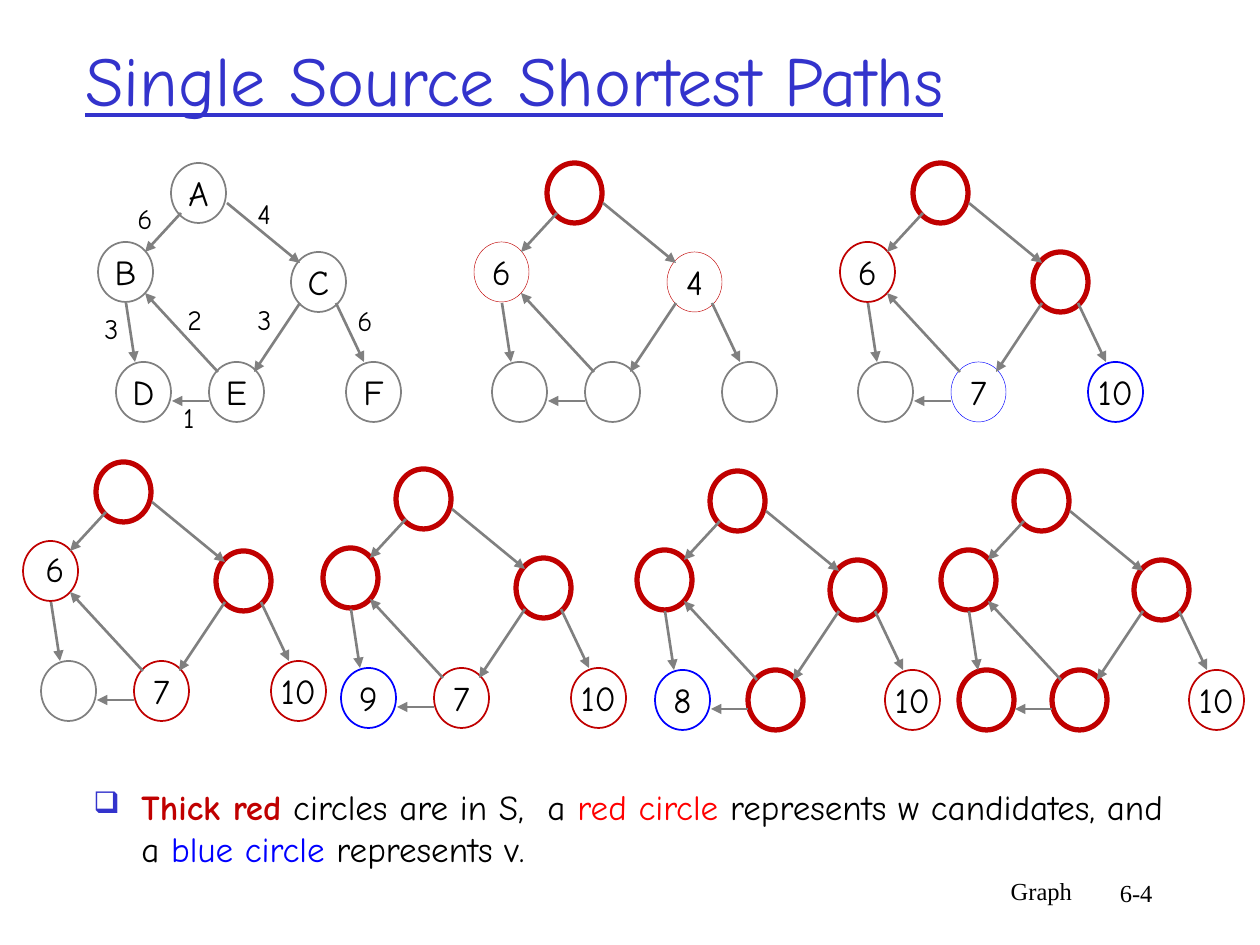
from dataclasses import dataclass
from typing import NamedTuple

from lxml import etree
from pptx import Presentation
from pptx.dml.color import RGBColor
from pptx.enum import shapes, text
from pptx.oxml import ns
from pptx import util as u

EMU_PER_PX = 914400 / 126

BLACK = RGBColor(0x00, 0x00, 0x00)
GRAY = RGBColor(0x80, 0x80, 0x80)
DARK_RED = RGBColor(0xC0, 0x00, 0x00)
RED = RGBColor(0xFF, 0x00, 0x00)
BLUE = RGBColor(0x00, 0x00, 0xFF)
INDIGO = RGBColor(0x33, 0x33, 0xCC)

COMIC = "Comic Neue"
SERIF = "Times New Roman"


class Ring(NamedTuple):
    color: RGBColor
    width: float


class Node(NamedTuple):
    ring: Ring
    label: str = ""


class Label(NamedTuple):
    text: str
    left: int
    top: int
    size: int = 16


@dataclass(frozen=True)
class Graph:
    left: int
    top: int
    nodes: tuple[Node, ...]
    labels: tuple[Label, ...] = ()


PLAIN = Ring(GRAY, 1)
IN_S = Ring(DARK_RED, 3)
CANDIDATE = Ring(DARK_RED, 1)
FAINT_CANDIDATE = Ring(DARK_RED, 0.25)
UPDATED = Ring(BLUE, 1)
FAINT_UPDATED = Ring(BLUE, 0.25)

# Every graph shares one layout, measured from its top left corner
NODE_WIDTH, NODE_HEIGHT = 55, 60
NODE_PLACES = ((73, 0), (0, 79), (193, 89), (18, 199), (111, 199), (248, 199))
EDGES = (
    (83, 50, 47, 89),      # A to B
    (129, 40, 202, 100),   # A to C
    (28, 140, 37, 199),    # B to D
    (202, 140, 156, 209),  # C to E
    (111, 238, 74, 238),   # E to D
    (238, 140, 266, 199),  # C to F
    (120, 209, 47, 130),   # E to B
)
WEIGHTS = (
    Label("6", 27, 39), Label("4", 147, 34), Label("3", -6, 149), Label("2", 77, 140),
    Label("3", 147, 140), Label("1", 73, 238), Label("6", 247, 141),
)

DONE = Node(IN_S)
EMPTY = Node(PLAIN)
SIX, SEVEN, TEN = (Node(CANDIDATE, label) for label in ("6", "7", "10"))

# Nodes are listed in the order A to F
GRAPHS = (
    Graph(98, 163, tuple(Node(PLAIN, letter) for letter in "ABCDEF"), WEIGHTS),
    Graph(474, 163, (DONE, Node(FAINT_CANDIDATE, "6"), Node(FAINT_CANDIDATE, "4"),
                     EMPTY, EMPTY, EMPTY)),
    Graph(840, 163, (DONE, SIX, DONE, EMPTY, Node(FAINT_UPDATED, "7"), Node(UPDATED, "10"))),
    Graph(23, 462, (DONE, Node(CANDIDATE), DONE, EMPTY, SEVEN, TEN),
          (Label("6", 10, 87, 20),)),
    Graph(323, 469, (DONE, DONE, DONE, Node(UPDATED, "9"), SEVEN, TEN)),
    Graph(637, 471, (DONE, DONE, DONE, Node(UPDATED, "8"), DONE, TEN)),
    Graph(941, 471, (DONE, DONE, DONE, DONE, DONE, TEN)),
)


def px(value: float) -> u.Emu:
    return u.Emu(round(value * EMU_PER_PX))


def set_font(font, name: str, size: int, color: RGBColor) -> None:
    font.name = name
    font.size = u.Pt(size)
    font.color.rgb = color


def add_text(container, words: str, box: tuple[int, int, int, int], size: int,
             color: RGBColor = BLACK, name: str = COMIC):
    shape = container.add_textbox(*map(px, box))
    shape.text_frame.word_wrap = True
    paragraph = shape.text_frame.paragraphs[0]
    paragraph.text = words
    set_font(paragraph.font, name, size, color)
    return shape


def add_node(container, node: Node, left: int, top: int) -> None:
    shape = container.add_shape(shapes.MSO_SHAPE.OVAL, px(left), px(top),
                                px(NODE_WIDTH), px(NODE_HEIGHT))
    shape.shadow.inherit = False
    shape.fill.background()
    shape.line.color.rgb = node.ring.color
    shape.line.width = u.Pt(node.ring.width)
    if node.label:
        frame = shape.text_frame
        frame.word_wrap = False
        frame.vertical_anchor = text.MSO_ANCHOR.MIDDLE
        paragraph = frame.paragraphs[0]
        paragraph.text = node.label
        paragraph.alignment = text.PP_ALIGN.CENTER
        set_font(paragraph.font, COMIC, 20, BLACK)


def add_arrow(container, x1: int, y1: int, x2: int, y2: int) -> None:
    arrow = container.add_connector(shapes.MSO_CONNECTOR.STRAIGHT,
                                    px(x1), px(y1), px(x2), px(y2))
    arrow.line.color.rgb = GRAY
    arrow.line.width = u.Pt(1.5)
    etree.SubElement(arrow.line._get_or_add_ln(), ns.qn("a:tailEnd"), type="triangle")
    etree.SubElement(arrow._element.spPr, ns.qn("a:effectLst"))


def add_label(container, label: Label, left: int, top: int) -> None:
    height = 39 if label.size == 16 else 47
    shape = add_text(container, label.text,
                     (left + label.left, top + label.top, 28, height), label.size)
    shape.text_frame.auto_size = text.MSO_AUTO_SIZE.SHAPE_TO_FIT_TEXT
    shape.text_frame.paragraphs[0].line_spacing = 0.8


def add_graph(slide, graph: Graph) -> None:
    container = slide.shapes.add_group_shape().shapes
    for node, (x, y) in zip(graph.nodes, NODE_PLACES):
        add_node(container, node, graph.left + x, graph.top + y)
    for x1, y1, x2, y2 in EDGES:
        add_arrow(container, graph.left + x1, graph.top + y1,
                  graph.left + x2, graph.top + y2)
    for label in graph.labels:
        add_label(container, label, graph.left, graph.top)


def add_bullet(paragraph) -> None:
    properties = paragraph._p.get_or_add_pPr()
    indent = px(48)
    properties.set("marL", str(indent))
    properties.set("indent", str(-indent))
    color = etree.SubElement(properties, ns.qn("a:buClr"))
    etree.SubElement(color, ns.qn("a:srgbClr"), val=str(INDIGO))
    etree.SubElement(properties, ns.qn("a:buSzPct"), val="85000")
    etree.SubElement(properties, ns.qn("a:buChar"), char="❑")


def add_legend(slide) -> None:
    shape = add_text(slide.shapes, "", (81, 779, 1100, 91), 20)
    paragraph = shape.text_frame.paragraphs[0]
    paragraph.space_before = u.Pt(4)
    add_bullet(paragraph)
    for words, color, bold in (
        ("Thick red", DARK_RED, True),
        (" circles are in S,  a ", BLACK, False),
        ("red circle", RED, False),
        (" represents w candidates, and a ", BLACK, False),
        ("blue circle", BLUE, False),
        (" represents v.", BLACK, False),
    ):
        run = paragraph.add_run()
        run.text = words
        set_font(run.font, COMIC, 20, color)
        run.font.bold = bold


def add_footer(slide, words: str, box: tuple[int, int, int, int], alignment) -> None:
    frame = add_text(slide.shapes, words, box, 14, name=SERIF).text_frame
    frame.word_wrap = False
    frame.vertical_anchor = text.MSO_ANCHOR.MIDDLE
    frame.paragraphs[0].alignment = alignment


def main() -> None:
    presentation = Presentation()
    presentation.slide_width, presentation.slide_height = px(1260), px(945)
    slide = presentation.slides.add_slide(presentation.slide_layouts[6])

    # Title
    title = add_text(slide.shapes, "Single Source Shortest Paths", (73, 32, 1071, 93),
                     40, INDIGO).text_frame
    title.vertical_anchor = text.MSO_ANCHOR.MIDDLE
    title.paragraphs[0].font.underline = True

    # Weighted graph and the six steps
    for graph in GRAPHS:
        add_graph(slide, graph)

    # Legend and footer
    add_legend(slide)
    add_footer(slide, "Graph", (971, 859, 141, 63), text.PP_ALIGN.CENTER)
    add_footer(slide, "6-4", (903, 861, 262, 63), text.PP_ALIGN.RIGHT)

    presentation.save("out.pptx")


if __name__ == "__main__":
    main()
